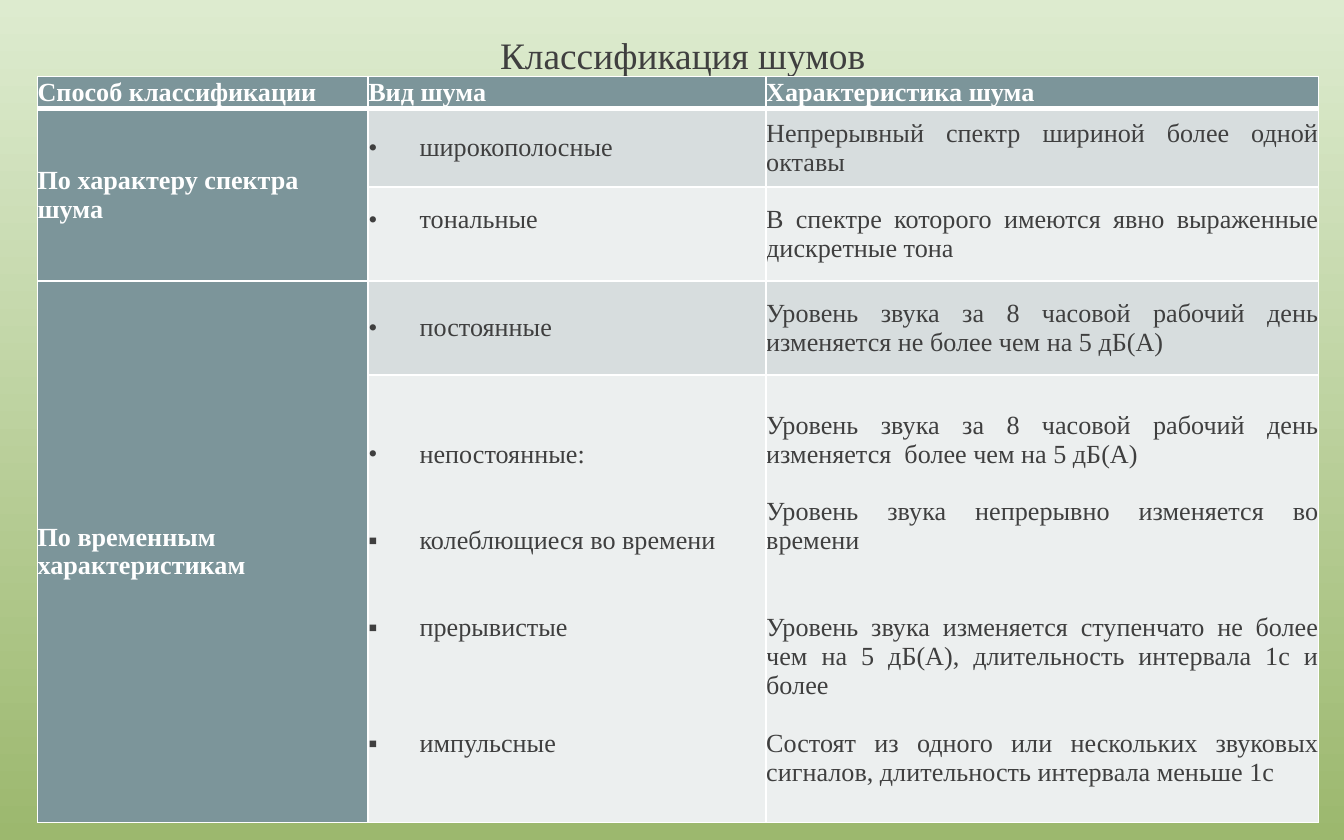
"""Build a slide with a table that classifies kinds of noise."""
from lxml import etree
from pptx import Presentation
from pptx import util as u
from pptx.dml.color import RGBColor
from pptx.enum import text
from pptx.oxml import ns

FONT = "Times New Roman"
COLORS = {
    "sky": "DDEBCF", "grass": "9CB86E", "head": "7C959A", "dark_band": "D7DDDE",
    "light_band": "ECEFEF", "ink": "3F3F3F", "white": "FFFFFF",
}
TITLE = "Классификация шумов"
HEADER = ["Способ классификации", "Вид шума", "Характеристика шума"]
GROUPS = [(1, 2, "По характеру спектра шума"), (3, 4, "По временным характеристикам")]
# Each paragraph is (bullet, empty lines above, wording).
ROWS = [
    ([("•", 0, "широкополосные")],
     [("", 0, "Непрерывный спектр шириной более одной октавы")]),
    ([("•", 0, "тональные")],
     [("", 0, "В спектре которого имеются явно выраженные дискретные тона")]),
    ([("•", 0, "постоянные")],
     [("", 0, "Уровень звука за 8 часовой рабочий день изменяется не более чем на 5 дБ(А)")]),
    ([("•", 0, "непостоянные:"),
      ("▪", 2, "колеблющиеся во времени"),
      ("▪", 2, "прерывистые"),
      ("▪", 3, "импульсные")],
     [("", 0, "Уровень звука за 8 часовой рабочий день изменяется  более чем на 5 дБ(А)"),
      ("", 1, "Уровень звука непрерывно изменяется во времени"),
      ("", 2, "Уровень звука изменяется ступенчато не более чем на 5 дБ(А), "
              "длительность интервала 1с и более"),
      ("", 1, "Состоят из одного или нескольких звуковых сигналов, "
              "длительность интервала меньше 1с")]),
]
COLUMN_WIDTHS = [6.25, 7.52, 10.44]
ROW_HEIGHTS = [0.61, 1.47, 1.78, 1.78, 8.46]
LINE = u.Pt(15.5)
BULLET_INDENT = u.Cm(0.97)


def rgb(name):
    return RGBColor.from_string(COLORS[name])


def add_text(paragraph, wording, size, color, bold=False):
    run = paragraph.add_run()
    run.text = wording
    run.font.name, run.font.size, run.font.bold = FONT, u.Pt(size), bold
    run.font.color.rgb = rgb(color)


def add_bullet(paragraph, symbol):
    properties = paragraph._p.get_or_add_pPr()
    properties.set("marL", str(BULLET_INDENT))
    properties.set("indent", str(-BULLET_INDENT))
    etree.SubElement(properties, ns.qn("a:buFont"), typeface=FONT)
    etree.SubElement(properties, ns.qn("a:buChar"), char=symbol)


def style_cell(cell, row, fill):
    properties = cell._tc.get_or_add_tcPr()
    for side in "LRTB":
        thick = (row, side) in ((0, "B"), (1, "T"))
        border = etree.SubElement(properties, ns.qn(f"a:ln{side}"), w=str(u.Pt(3 if thick else 1)))
        solid = etree.SubElement(border, ns.qn("a:solidFill"))
        etree.SubElement(solid, ns.qn("a:srgbClr"), val=COLORS["white"])
    cell.fill.solid()
    cell.fill.fore_color.rgb = rgb(fill)
    cell.margin_left = cell.margin_right = cell.margin_top = cell.margin_bottom = 0
    cell.vertical_anchor = text.MSO_ANCHOR.MIDDLE


def fill_cell(cell, paragraphs, color, bold=False, align=text.PP_ALIGN.JUSTIFY):
    frame = cell.text_frame
    for index, (bullet, gap, wording) in enumerate(paragraphs):
        paragraph = frame.add_paragraph() if index else frame.paragraphs[0]
        paragraph.alignment = align
        if gap:
            paragraph.space_before = LINE * gap
        if bullet:
            add_bullet(paragraph, bullet)
        add_text(paragraph, wording, 14, color, bold)


def add_title(slide):
    title = slide.shapes.title
    title.left, title.top, title.width, title.height = map(u.Cm, (7.95, 0.05, 8.76, 1.4))
    frame = title.text_frame
    frame.word_wrap, frame.auto_size = True, text.MSO_AUTO_SIZE.NONE
    frame.vertical_anchor = text.MSO_ANCHOR.TOP
    frame.margin_left = u.Cm(1.5)
    paragraph = frame.paragraphs[0]
    paragraph.alignment, paragraph.line_spacing = text.PP_ALIGN.LEFT, 1.5
    add_text(paragraph, TITLE, 20, "ink")


def add_noise_table(slide):
    table = slide.shapes.add_table(
        len(ROW_HEIGHTS), len(COLUMN_WIDTHS), u.Cm(0.71), u.Cm(1.45),
        u.Cm(sum(COLUMN_WIDTHS)), u.Cm(sum(ROW_HEIGHTS))).table
    for column, width in zip(table.columns, COLUMN_WIDTHS):
        column.width = u.Cm(width)
    for row, height in zip(table.rows, ROW_HEIGHTS):
        row.height = u.Cm(height)
    for row in range(len(ROW_HEIGHTS)):
        band = "dark_band" if row % 2 else "light_band"
        for column in range(len(COLUMN_WIDTHS)):
            style_cell(table.cell(row, column), row, band if row and column else "head")
    for column, wording in enumerate(HEADER):
        fill_cell(table.cell(0, column), [("", 0, wording)], "white", True)
    for first, last, wording in GROUPS:
        table.cell(first, 0).merge(table.cell(last, 0))
        fill_cell(table.cell(first, 0), [("", 0, wording)], "white", True, text.PP_ALIGN.LEFT)
    for row, contents in enumerate(ROWS, 1):
        for column, paragraphs in enumerate(contents, 1):
            fill_cell(table.cell(row, column), paragraphs, "ink")
    table.cell(2, 1).margin_bottom = LINE


def main():
    presentation = Presentation()
    presentation.slide_width, presentation.slide_height = u.Cm(25.4), u.Cm(15.88)
    slide = presentation.slides.add_slide(presentation.slide_layouts[5])
    background = slide.background.fill
    background.gradient()
    background.gradient_angle = 270
    for stop, color in zip(background.gradient_stops, ("sky", "grass")):
        stop.color.rgb = rgb(color)
        stop.position = 0 if color == "sky" else 1
    add_title(slide)
    add_noise_table(slide)
    presentation.save("out.pptx")


if __name__ == "__main__":
    main()
